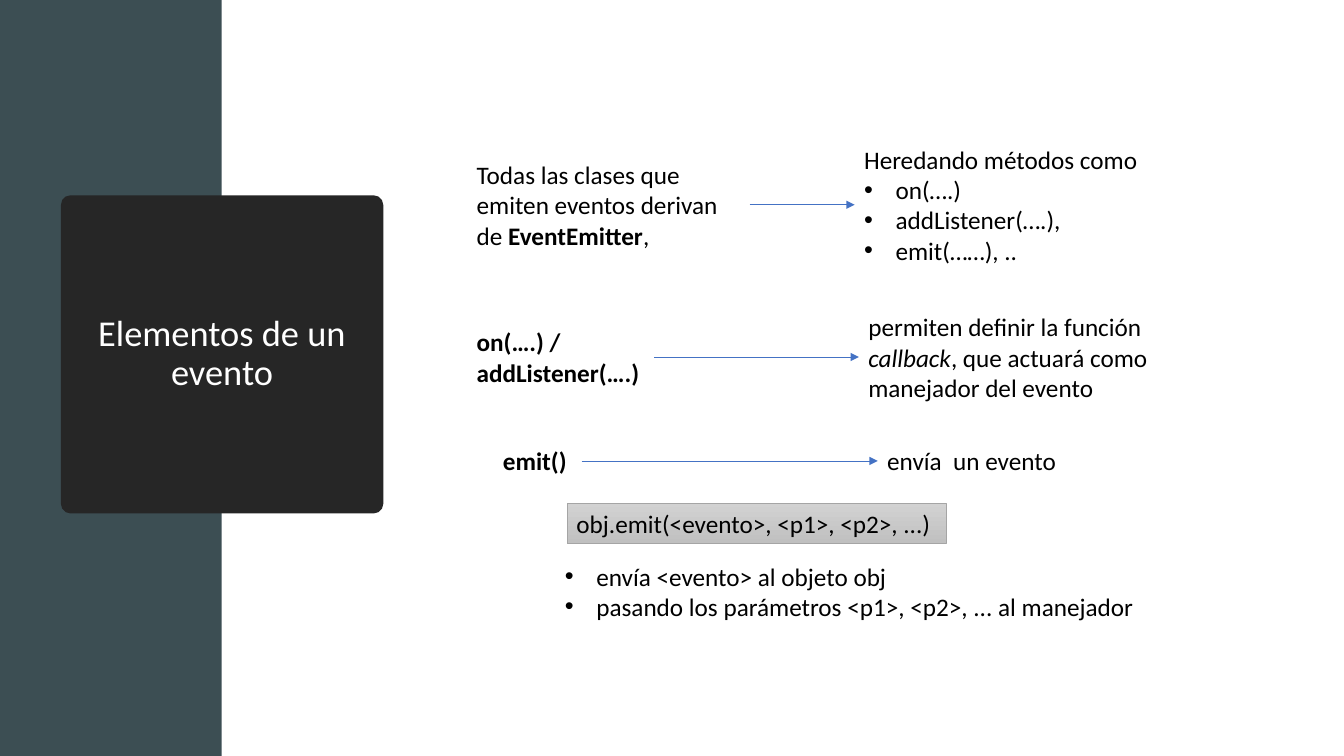
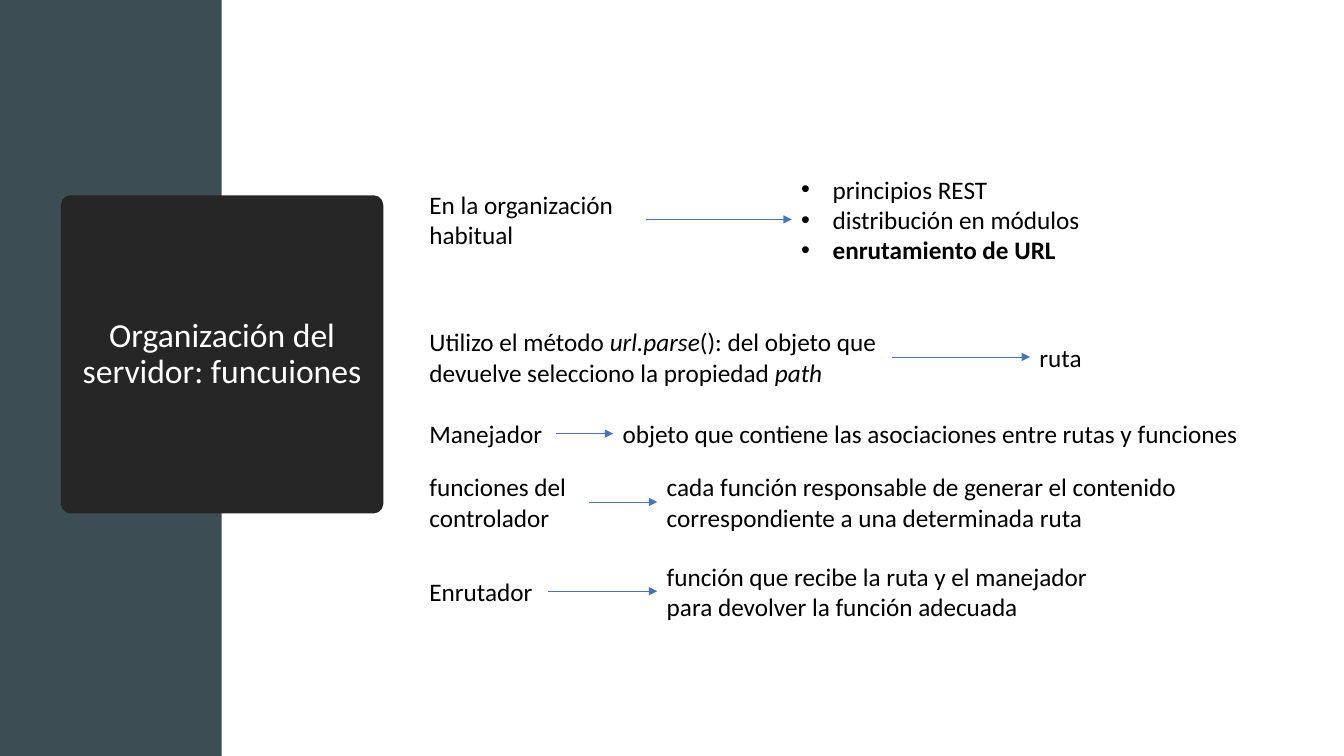
from pptx import Presentation, util as u
from pptx.dml import color
from pptx.enum import shapes, text
from pptx.oxml import ns
from lxml import etree

FONT = "Calibri"


def px(n):
    return u.Emu(round(n * 9525))


def rgb(code):
    return color.RGBColor.from_string(code)


def node(parent, tag, **attrs):
    return etree.SubElement(parent, ns.qn(tag), attrs)


def write(shape, paras, size=18, ink="000000", bold=False, align="LEFT",
          space=1.0, wrap=True, inset=9, bullet=None):
    frame = shape.text_frame
    frame.word_wrap = wrap
    frame.vertical_anchor = text.MSO_ANCHOR.MIDDLE
    frame.margin_left = frame.margin_right = px(inset)
    for i, runs in enumerate(paras):
        para = frame.add_paragraph() if i else frame.paragraphs[0]
        if bullet is not None and i >= bullet:
            props = para._p.get_or_add_pPr()
            props.set("marL", str(px(30)))
            props.set("indent", str(px(-30)))
            node(props, "a:buFont", typeface="Arial")
            node(props, "a:buChar", char="•")
        para.alignment = getattr(text.PP_ALIGN, align)
        para.line_spacing = space
        for part in [runs] if isinstance(runs, str) else runs:
            words, mark = (part, "") if isinstance(part, str) else part
            run = para.add_run()
            run.text = words
            font = run.font
            font.name, font.size = FONT, u.Pt(size)
            font.color.rgb = rgb(ink)
            font.bold = bold or mark == "b"
            font.italic = mark == "i"


class Deck:
    band = "3C4E53"
    card = "262626"
    blue = "4472C4"
    edge = "A5A5A5"
    tones = ("D2D2D2", "C0C0C0")

    def __init__(self):
        self.prs = Presentation()
        self.prs.slide_width, self.prs.slide_height = px(1280), px(720)
        self.slide = None

    def shape(self, kind, x, y, w, h, fill):
        item = self.slide.shapes.add_shape(kind, px(x), px(y), px(w), px(h))
        item.shadow.inherit = False
        item.line.fill.background()
        item.fill.solid()
        item.fill.fore_color.rgb = rgb(fill)
        return item

    def page(self, title, size):
        self.slide = self.prs.slides.add_slide(self.prs.slide_layouts[6])
        kinds = shapes.MSO_SHAPE
        self.shape(kinds.RECTANGLE, 0, 0, 211, 720, self.band)
        card = self.shape(kinds.ROUNDED_RECTANGLE, 58, 186, 307, 303, self.card)
        card.adjustments[0] = 0.03
        write(card, [title], size=size, ink="FFFFFF", align="CENTER",
              space=0.9, inset=18)

    def label(self, x, mid, w, lines, *paras, **style):
        h = 10 + 29 * lines
        box = self.slide.shapes.add_textbox(px(x), px(mid - h / 2), px(w), px(h))
        write(box, paras, wrap=lines > 1, **style)
        return box

    def code(self, x, mid, w, line):
        box = self.shape(shapes.MSO_SHAPE.RECTANGLE, x, mid - 19, w, 39, self.tones[0])
        box.fill.gradient()
        box.fill.gradient_angle = 270
        for stop, tone in zip(box.fill.gradient_stops, self.tones):
            stop.color.rgb = rgb(tone)
        box.line.color.rgb = rgb(self.edge)
        box.line.width = u.Pt(0.5)
        write(box, [line], wrap=False)

    def link(self, left, right):
        line = self.slide.shapes.add_connector(shapes.MSO_CONNECTOR.STRAIGHT, 0, 0, 0, 0)
        line.begin_connect(left, 3)
        line.end_connect(right, 1)
        line.line.color.rgb = rgb(self.blue)
        line.line.width = u.Pt(0.5)
        node(line.line._get_or_add_ln(), "a:tailEnd", type="triangle")
        node(line._element.spPr, "a:effectLst")


def events(deck):
    deck.page("Elementos de un evento", 26)
    deck.link(
        deck.label(445, 195, 269, 3,
                   ["Todas las clases que emiten eventos derivan de ",
                    ("EventEmitter", "b"), ","]),
        deck.label(814, 195, 283, 4, "Heredando métodos como", "on(….)",
                   "addListener(….),", "emit(……), ..", bullet=1))
    deck.link(
        deck.label(445, 340, 178, 2, "on(….) / addListener(….)", bold=True),
        deck.label(818, 340, 305, 3,
                   ["permiten definir la función ", ("callback", "i"),
                    ", que actuará como manejador del evento"]))
    deck.link(
        deck.label(470, 439, 84, 1, "emit()", bold=True),
        deck.label(836, 439, 182, 1, "envía  un evento"))
    deck.code(540, 498, 361, "obj.emit(<evento>, <p1>, <p2>, ...)")
    deck.label(529, 563, 577, 2, "envía <evento> al objeto obj",
               "pasando los parámetros <p1>, <p2>, ... al manejador", bullet=0)


def server(deck):
    deck.page("Organización del servidor: funcuiones", 24)
    deck.link(
        deck.label(400, 209, 215, 2, "En la organización habitual"),
        deck.label(754, 209, 288, 3, "principios REST", "distribución en módulos",
                   [("enrutamiento de URL", "b")], bullet=0))
    deck.link(
        deck.label(400, 340, 450, 2,
                   ["Utilizo el método ", ("url.parse", "i"),
                    "(): del objeto que devuelve selecciono la propiedad ",
                    ("path", "i")]),
        deck.label(981, 340, 66, 1, "ruta"))
    deck.link(
        deck.label(400, 413, 130, 1, "Manejador"),
        deck.label(584, 413, 616, 1,
                   "objeto que contiene las asociaciones entre rutas y funciones"))
    deck.link(
        deck.label(400, 478, 161, 2, "funciones del controlador"),
        deck.label(626, 478, 556, 2,
                   "cada función responsable de generar el contenido "
                   "correspondiente a una determinada ruta"))
    deck.link(
        deck.label(400, 563, 122, 1, "Enrutador"),
        deck.label(626, 563, 425, 2, "función que recibe la ruta y el manejador",
                   "para devolver la función adecuada"))


def main():
    deck = Deck()
    events(deck)
    server(deck)
    deck.prs.save("out.pptx")


if __name__ == "__main__":
    main()
